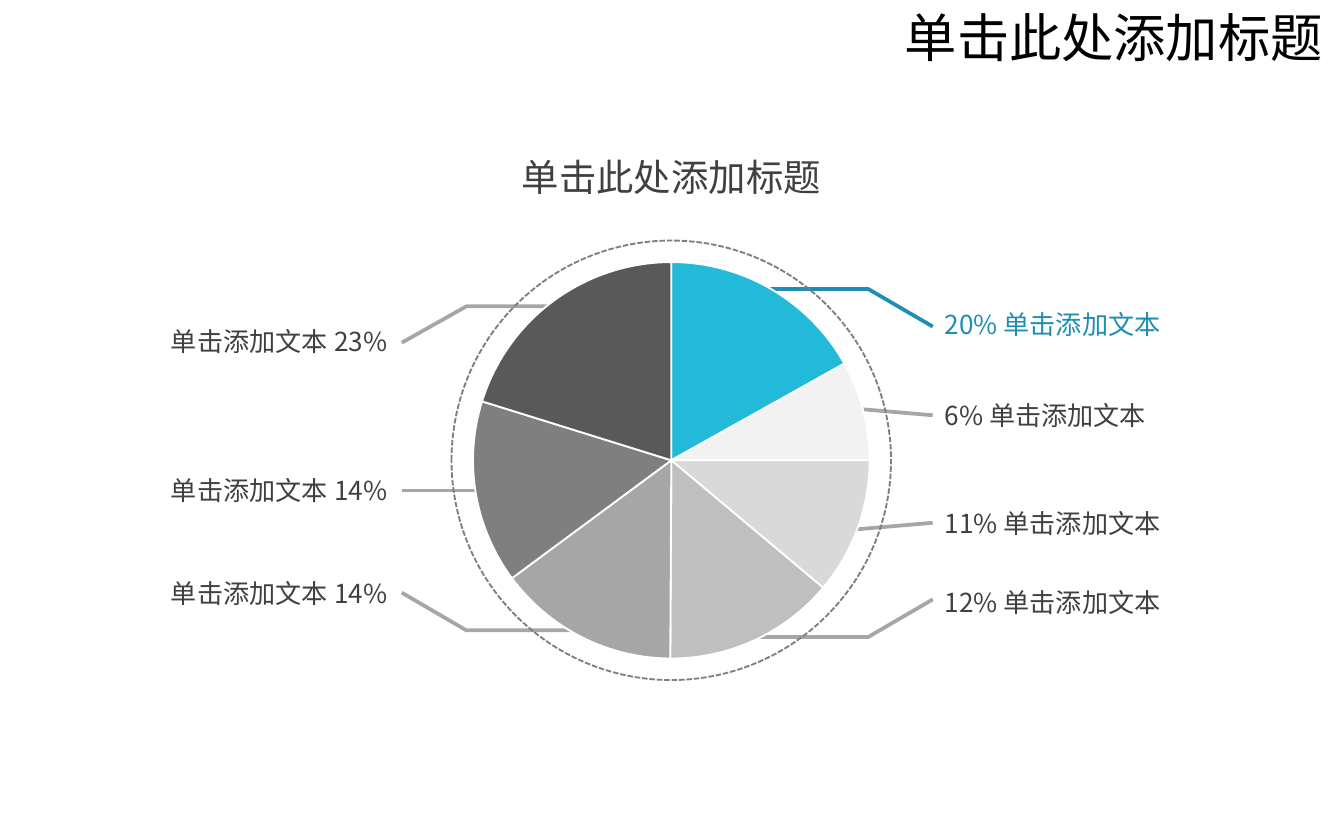
from itertools import pairwise

from lxml import etree
from pptx import Presentation
from pptx import util as u
from pptx.dml.color import RGBColor
from pptx.enum import dml, shapes, text
from pptx.oxml.ns import qn

FONT = "Noto Sans CJK SC"
BLACK = RGBColor(0x00, 0x00, 0x00)
WHITE = RGBColor(0xFF, 0xFF, 0xFF)
DARK = RGBColor(0x40, 0x40, 0x40)
GREY = RGBColor(0xA6, 0xA6, 0xA6)
RING = RGBColor(0x7F, 0x7F, 0x7F)
BLUE = RGBColor(0x1E, 0x8F, 0xB2)
SLICE_COLORS = [
    RGBColor.from_string(value)
    for value in ("22BAD8", "F2F2F2", "D9D9D9", "BFBFBF", "A6A6A6", "7F7F7F", "595959")
]
SLICE_ANGLES = [270, 330.8, 0, 40, 90.3, 143.5, 197.3, 270]

LABEL_HEIGHT = 0.34
RIGHT_LABELS = [
    (2.24, "20% 单击添加文本", BLUE),
    (2.92, "6% 单击添加文本", DARK),
    (3.72, "11% 单击添加文本", DARK),
    (4.31, "12% 单击添加文本", DARK),
]
LEFT_LABELS = [
    (2.37, "单击添加文本 23%", DARK),
    (3.48, "单击添加文本 14%", DARK),
    (4.24, "单击添加文本 14%", DARK),
]
RIGHT_LEADERS = [
    ([(5.65, 2.15), (6.46, 2.15), (6.94, 2.43)], BLUE),
    ([(6.24, 3.03), (6.94, 3.09)], GREY),
    ([(6.24, 3.95), (6.94, 3.89)], GREY),
    ([(5.65, 4.74), (6.46, 4.74), (6.94, 4.46)], GREY),
]
LEFT_LEADERS = [
    ([(4.29, 2.28), (3.47, 2.28), (2.99, 2.55)], GREY),
    ([(3.69, 3.65), (2.99, 3.65)], GREY),
    ([(4.29, 4.69), (3.47, 4.69), (2.99, 4.41)], GREY),
]


def write_text(shape, words, size, color, alignment):
    frame = shape.text_frame
    frame.word_wrap = True
    frame.auto_size = text.MSO_AUTO_SIZE.NONE
    frame.vertical_anchor = text.MSO_ANCHOR.MIDDLE
    frame.margin_left = frame.margin_right = u.Inches(0.1)
    frame.margin_top = frame.margin_bottom = u.Inches(0.05)
    paragraph = frame.paragraphs[0]
    paragraph.text = words
    paragraph.alignment = alignment
    paragraph.space_before = u.Pt(0)
    paragraph.font.size = u.Pt(size)
    paragraph.font.name = FONT
    paragraph.font.color.rgb = color
    for run in paragraph.runs:
        east_asian = etree.SubElement(run.font._element, qn("a:ea"))
        east_asian.set("typeface", FONT)


def place_title(slide, left, top, width, height):
    title = slide.shapes.title
    title.left, title.top = u.Inches(left), u.Inches(top)
    title.width, title.height = u.Inches(width), u.Inches(height)
    write_text(title, "单击此处添加标题", 28, BLACK, text.PP_ALIGN.RIGHT)


def add_label(slide, left, top, width, height, words, size, color, alignment):
    box = slide.shapes.add_textbox(*map(u.Inches, (left, top, width, height)))
    write_text(box, words, size, color, alignment)


def add_leader(slide, points, color):
    if len(points) == 2:
        (x1, y1), (x2, y2) = points
        leader = slide.shapes.add_connector(
            shapes.MSO_CONNECTOR.STRAIGHT, *map(u.Inches, (x1, y1, x2, y2))
        )
        etree.SubElement(leader._element.spPr, qn("a:effectLst"))
    else:
        corners = [(u.Inches(x), u.Inches(y)) for x, y in points]
        builder = slide.shapes.build_freeform(*corners[0], scale=1.0)
        builder.add_line_segments(corners[1:], close=False)
        leader = builder.convert_to_shape()
        leader.fill.background()
        leader.shadow.inherit = False
    leader.line.color.rgb = color
    leader.line.width = u.Pt(2)


def add_callouts(slide, left, width, leaders, labels, alignment):
    for points, color in leaders:
        add_leader(slide, points, color)
    for top, words, color in labels:
        add_label(slide, left, top, width, LABEL_HEIGHT, words, 14, color, alignment)


def add_pie(slide, left, top, size, ring_gap):
    box = [u.Inches(value) for value in (left, top, size, size)]
    for color, (start, end) in zip(SLICE_COLORS, pairwise(SLICE_ANGLES)):
        piece = slide.shapes.add_shape(shapes.MSO_SHAPE.PIE, *box)
        piece.adjustments[0] = start * 60000 / 100000
        piece.adjustments[1] = end * 60000 / 100000
        piece.shadow.inherit = False
        piece.fill.solid()
        piece.fill.fore_color.rgb = color
        piece.line.color.rgb = WHITE
        piece.line.width = u.Pt(1)

    ring_size = size + 2 * ring_gap
    ring = slide.shapes.add_shape(
        shapes.MSO_SHAPE.OVAL,
        *map(u.Inches, (left - ring_gap, top - ring_gap, ring_size, ring_size)),
    )
    ring.shadow.inherit = False
    ring.fill.background()
    ring.line.color.rgb = RING
    ring.line.width = u.Pt(1)
    ring.line.dash_style = dml.MSO_LINE.SQUARE_DOT


def main():
    presentation = Presentation()
    presentation.slide_width = u.Inches(10)
    presentation.slide_height = u.Inches(6.25)
    slide = presentation.slides.add_slide(presentation.slide_layouts[5])
    add_callouts(slide, 6.93, 2.6, RIGHT_LEADERS, RIGHT_LABELS, text.PP_ALIGN.LEFT)
    add_callouts(slide, 0.39, 2.59, LEFT_LEADERS, LEFT_LABELS, text.PP_ALIGN.RIGHT)
    add_pie(slide, 3.52, 1.95, 2.95, 0.16)
    add_label(slide, 3.22, 1.09, 3.55, 0.44, "单击此处添加标题", 20, DARK, text.PP_ALIGN.CENTER)
    place_title(slide, 5.7, -0.06, 4.24, 0.66)
    presentation.save("out.pptx")


if __name__ == "__main__":
    main()
